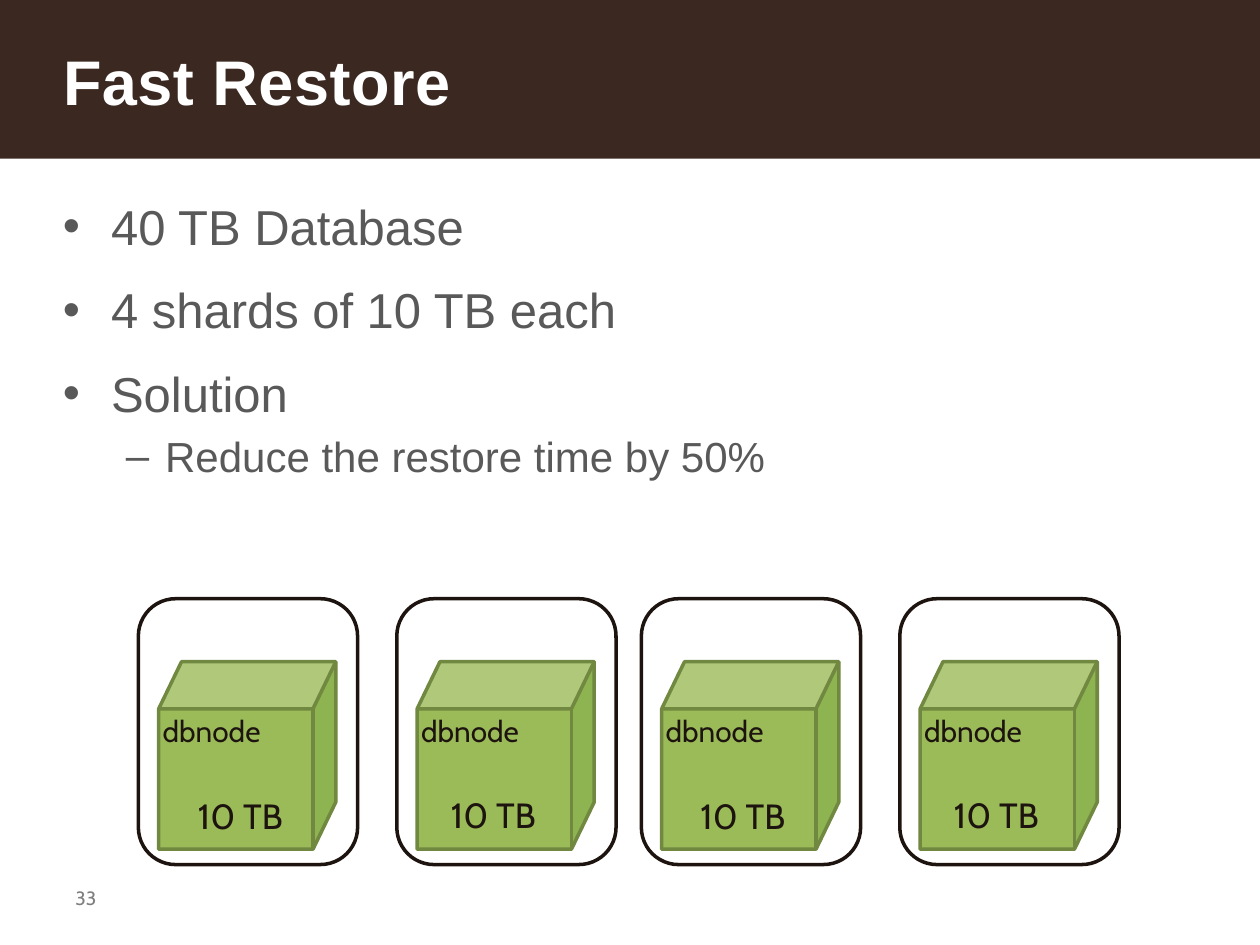
import pptx
import pptx.dml.color
import pptx.enum.shapes
import pptx.enum.text
import pptx.oxml
import pptx.oxml.ns
import pptx.util
from pptx.util import Cm, Pt

TITLE = "Fast Restore"
PAGE = "33"
# text, level
BULLETS = [
    ("40 TB Database", 0),
    ("4 shards of 10 TB each", 0),
    ("Solution", 0),
    ("Reduce the restore time by 50%", 1),
]
# level: bullet, size, left margin, first-line indent, space before, line spacing
LEVELS = [
    ("•", 28, 0.97, -0.97, 14, None),
    ("–", 24, 2.06, -0.79, 6, 27.8),
]
# box left, size label left and top (cm)
SHARDS = [
    (2.79, 3.99, 16.02),
    (8.0, 9.09, 16.0),
    (12.93, 14.12, 16.02),
    (18.14, 19.23, 16.0),
]
PROCESS, SIZE = "dbnode", "10 TB"

COLORS = {
    "bar": "3B2921", "title": "FFFFFF", "body": "595959", "page": "7F7F7F",
    "ink": "1D1410", "cube": "9BBB59", "side": "5A9633", "top": "FFFFFF",
    "edge": "718840",
}
BOX_TOP, BOX_W, BOX_H = 12.07, 4.42, 5.36
CUBE_INSET, CUBE_TOP = 0.41, 13.34
CUBE_W, CUBE_H, DEPTH_X, DEPTH_Y = 3.57, 3.78, 0.46, 0.95


def rgb(name):
    return pptx.dml.color.RGBColor.from_string(COLORS[name])


def write(p, text, size, color, font="Cabin", bold=False, spacing=None):
    r = p.add_run()
    r.text = text
    r.font.size, r.font.name, r.font.bold = Pt(size), font, bold
    r.font.color.rgb = rgb(color)
    if spacing is not None:
        r._r.get_or_add_rPr().set("spc", str(spacing))


def set_frame(sp, margin=0, wrap=True):
    tf = sp.text_frame
    tf.word_wrap = wrap
    tf.margin_left = tf.margin_right = tf.margin_top = tf.margin_bottom = Cm(margin)
    return tf


def add_text(shapes, text, left, top, width, height, margin=0, wrap=True, **style):
    sp = shapes.add_textbox(Cm(left), Cm(top), Cm(width), Cm(height))
    write(set_frame(sp, margin, wrap).paragraphs[0], text, **style)


def paint(sp, fill=None, line=None, alpha=None):
    """Set fill (alpha in percent) and line; None leaves either of them out."""
    sp.shadow.inherit = False
    if fill:
        sp.fill.solid()
        sp.fill.fore_color.rgb = rgb(fill)
    else:
        sp.fill.background()
    if alpha:
        clr = sp._element.spPr.find(".//" + pptx.oxml.ns.qn("a:srgbClr"))
        clr.append(pptx.oxml.parse_xml(
            f'<a:alpha {pptx.oxml.ns.nsdecls("a")} val="{alpha * 1000}"/>'))
    if line:
        sp.line.color.rgb = rgb(line)
        sp.line.width = Pt(2)
    else:
        sp.line.fill.background()


def add_outline(shapes, closed, *open_lines, **style):
    """Draw one closed contour and any open lines as a single freeform."""
    contours = [[(Cm(x), Cm(y)) for x, y in c] for c in (closed, *open_lines)]
    builder = shapes.build_freeform(*contours[0][0])
    builder.add_line_segments(contours[0][1:], close=True)
    for contour in contours[1:]:
        builder.move_to(*contour[0])
        builder.add_line_segments(contour[1:], close=False)
    paint(builder.convert_to_shape(), **style)


def add_cube(slide, left):
    shapes = slide.shapes.add_group_shape().shapes
    right, bottom = left + CUBE_W, CUBE_TOP + CUBE_H
    front_right, front_top = right - DEPTH_X, CUBE_TOP + DEPTH_Y
    front_tl, front_bl = (left, front_top), (left, bottom)
    front_tr, front_br = (front_right, front_top), (front_right, bottom)
    back_tl, back_tr = (left + DEPTH_X, CUBE_TOP), (right, CUBE_TOP)
    back_br = (right, bottom - DEPTH_Y)
    hull = [front_tl, back_tl, back_tr, back_br, front_br, front_bl]

    add_outline(shapes, hull, fill="cube")
    add_outline(shapes, [front_tr, back_tr, back_br, front_br], fill="side", alpha=20)
    add_outline(shapes, [front_tl, back_tl, back_tr, front_tr], fill="top", alpha=20)
    add_outline(shapes, hull, [front_tl, front_tr, back_tr], [front_tr, front_br],
                line="edge")
    add_text(shapes, PROCESS, left, front_top, CUBE_W - DEPTH_X, 1.75,
             margin=0.08, size=17, color="ink")


def add_bullets(slide):
    sp = slide.shapes.add_textbox(Cm(1.27), Cm(3.96), Cm(22.86), Cm(12.85))
    tf = set_frame(sp)
    for i, (text, level) in enumerate(BULLETS):
        mark, size, margin, indent, before, spacing = LEVELS[level]
        p = tf.add_paragraph() if i else tf.paragraphs[0]
        p.level = level
        p.space_before = Pt(before)
        if spacing:
            p.line_spacing = Pt(spacing)
        pPr = p._p.get_or_add_pPr()
        pPr.set("marL", str(Cm(margin)))
        pPr.set("indent", str(Cm(indent)))
        ns = pptx.oxml.ns.nsdecls("a")
        pPr.append(pptx.oxml.parse_xml(f'<a:buFont {ns} typeface="Arial"/>'))
        pPr.append(pptx.oxml.parse_xml(f'<a:buChar {ns} char="{mark}"/>'))
        write(p, text, size, "body", font="Arial")


def add_title(slide):
    bar = slide.shapes.add_shape(
        pptx.enum.shapes.MSO_SHAPE.RECTANGLE, 0, 0, Cm(25.4), Cm(3.2))
    paint(bar, fill="bar")
    slide.shapes._spTree.insert(2, bar._element)  # behind the title
    title = slide.shapes.title
    title.left, title.top, title.width, title.height = Cm(1.27), Cm(0.03), Cm(22.86), Cm(3.17)
    tf = set_frame(title)
    tf.auto_size = pptx.enum.text.MSO_AUTO_SIZE.NONE
    tf.vertical_anchor = pptx.enum.text.MSO_ANCHOR.MIDDLE
    p = tf.paragraphs[0]
    p.alignment = pptx.enum.text.PP_ALIGN.LEFT
    write(p, TITLE, 36, "title", font="Arial", bold=True, spacing=30)


def main():
    prs = pptx.Presentation()
    prs.slide_width, prs.slide_height = Cm(25.4), Cm(19.05)
    slide = prs.slides.add_slide(prs.slide_layouts.get_by_name("Title Only"))
    add_title(slide)
    add_text(slide.shapes, PAGE, 1.52, 17.86, 5.44, 0.5, size=11, color="page")
    add_bullets(slide)
    for left, label_left, label_top in SHARDS:
        add_cube(slide, left + CUBE_INSET)
        box = slide.shapes.add_shape(
            pptx.enum.shapes.MSO_SHAPE.ROUNDED_RECTANGLE,
            Cm(left), Cm(BOX_TOP), Cm(BOX_W), Cm(BOX_H))
        box.adjustments[0] = 0.17
        paint(box, line="ink")
        add_text(slide.shapes, SIZE, label_left, label_top, 1.88, 0.86,
                 wrap=False, size=20, color="ink")
    prs.save("out.pptx")


if __name__ == "__main__":
    main()
